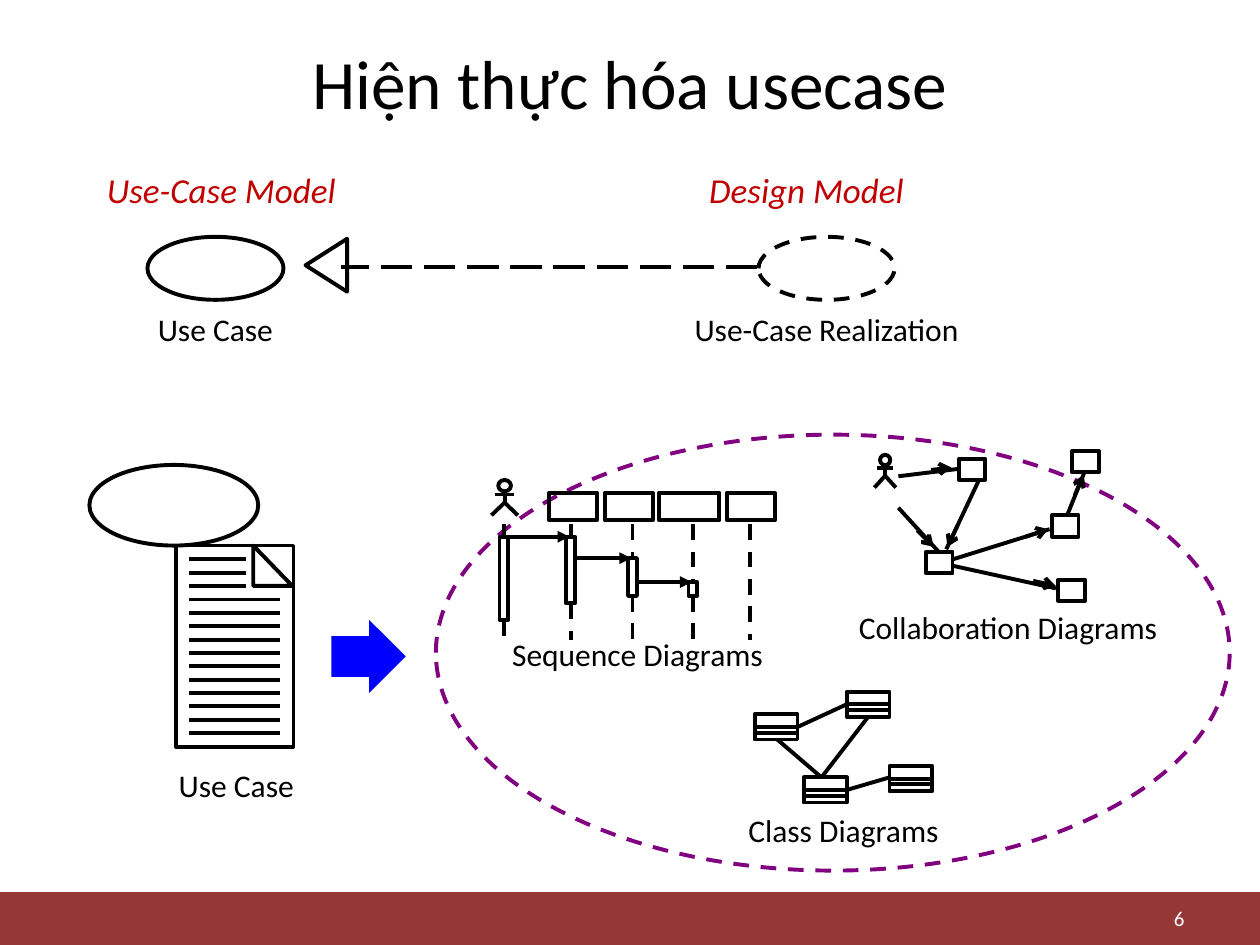
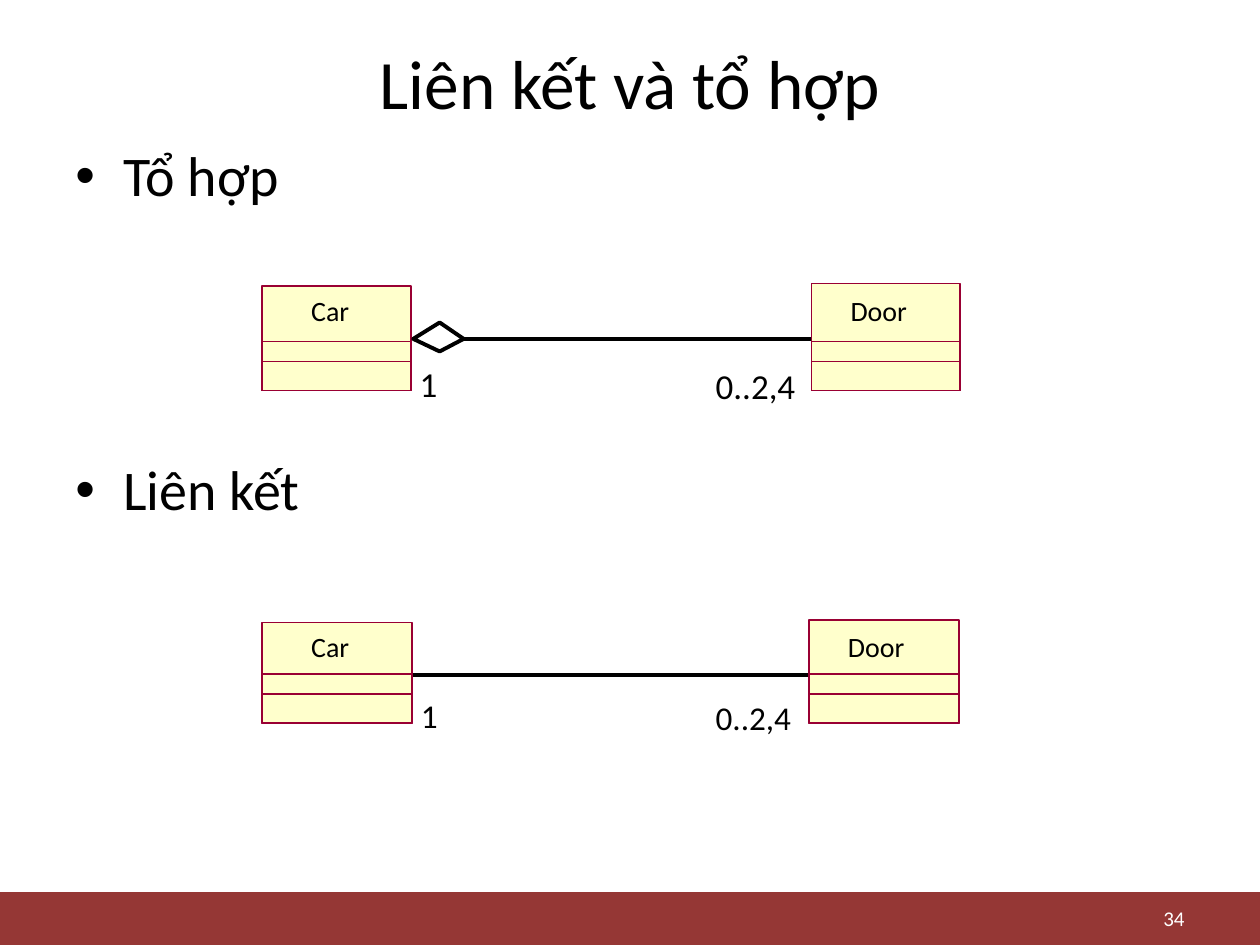
from itertools import pairwise

from lxml.etree import SubElement
from pptx import Presentation
from pptx.dml.color import RGBColor
from pptx.enum.dml import MSO_LINE
from pptx.enum.shapes import MSO_CONNECTOR, MSO_SHAPE
from pptx.enum.text import MSO_ANCHOR, MSO_AUTO_SIZE, PP_ALIGN
from pptx.oxml.ns import qn
from pptx.util import Inches, Pt

FONT = "Calibri"
BLACK, WHITE, BAND, HEADING = "000000", "FFFFFF", "953735", "C00000"
PURPLE, BLUE, CREAM, CRIMSON = "800080", "0000FF", "FFFFCC", "990033"
COLUMNS, ROWS = 100, 75
CELL = Inches(10) / COLUMNS


def colour(hex_code):
    return RGBColor.from_string(hex_code)


def cells(*values):
    return [round(v * CELL) for v in values]


def style_run(r, size, hex_code=BLACK, italic=False):
    r.font.name = FONT
    r.font.size = Pt(size)
    r.font.color.rgb = colour(hex_code)
    r.font.italic = italic


def style_line(line, hex_code=BLACK, width=2.25, dash=None):
    line.color.rgb = colour(hex_code)
    line.width = Pt(width)
    if dash:
        line.dash_style = dash


class Region:
    """A group whose parts are placed in grid cells from its left top corner."""

    def __init__(self, slide, left=0, top=0):
        self.shapes = slide.shapes.add_group_shape().shapes
        self.left, self.top = left, top

    def at(self, col, row):
        return cells(self.left + col, self.top + row)

    def finish(self, sp, fill, line, width, dash):
        sp.shadow.inherit = False
        if fill:
            sp.fill.solid()
            sp.fill.fore_color.rgb = colour(fill)
        else:
            sp.fill.background()
        if line:
            style_line(sp.line, line, width, dash)
        else:
            sp.line.fill.background()
        return sp

    def shape(self, kind, col, row, w, h, fill=None, line=BLACK, width=2.25, dash=None):
        sp = self.shapes.add_shape(kind, *self.at(col, row), *cells(w, h))
        return self.finish(sp, fill, line, width, dash)

    def rect(self, *box, **style):
        return self.shape(MSO_SHAPE.RECTANGLE, *box, **style)

    def oval(self, *box, **style):
        return self.shape(MSO_SHAPE.OVAL, *box, **style)

    def outline(self, points, close=False):
        start, *rest = [self.at(*point) for point in points]
        builder = self.shapes.build_freeform(*start)
        builder.add_line_segments(rest, close=close)
        return self.finish(builder.convert_to_shape(), None, BLACK, 2.25, None)

    def line(self, x1, y1, x2, y2, dash=None, head=None):
        cx = self.shapes.add_connector(
            MSO_CONNECTOR.STRAIGHT, *self.at(x1, y1), *self.at(x2, y2))
        style_line(cx.line, dash=dash)
        if head:
            SubElement(cx.line._get_or_add_ln(), qn("a:tailEnd"), type=head)
        SubElement(cx._element.spPr, qn("a:effectLst"))

    def label(self, text, col, row, w, h=4, size=18, hex_code=BLACK,
              align=PP_ALIGN.CENTER, italic=False, inset=True):
        tf = self.shapes.add_textbox(*self.at(col, row), *cells(w, h)).text_frame
        tf.word_wrap = True
        if not inset:
            tf.margin_left = tf.margin_right = tf.margin_top = tf.margin_bottom = 0
        p = tf.paragraphs[0]
        p.alignment = align
        r = p.add_run()
        r.text = text
        style_run(r, size, hex_code, italic)
        return tf


def add_titled_slide(prs, title, number):
    slide = prs.slides.add_slide(prs.slide_layouts[5])
    sp = slide.shapes.title
    sp.left, sp.top, sp.width, sp.height = cells(5, 3, 90, 7)
    tf = sp.text_frame
    tf.auto_size = MSO_AUTO_SIZE.NONE
    tf.vertical_anchor = MSO_ANCHOR.MIDDLE
    p = tf.paragraphs[0]
    p.alignment = PP_ALIGN.CENTER
    r = p.add_run()
    r.text = title
    style_run(r, 39.6)

    footer = Region(slide, 0, 70.8)
    footer.rect(0, 0, COLUMNS, ROWS - 70.8, fill=BAND, line=None)
    tf = footer.label(number, 71.7, 0.7, 23.3, 2.7, 12, WHITE, PP_ALIGN.RIGHT)
    tf.vertical_anchor = MSO_ANCHOR.MIDDLE
    return slide


def add_actor(region, col, row, w, h):
    """Stick figure filling the given box."""
    middle, neck, hip, arms = col + w / 2, row + h * 0.33, row + h * 0.64, row + h * 0.41
    region.oval(col + w * 0.26, row, w * 0.48, h * 0.32)
    region.line(middle, neck, middle, hip)
    region.line(col + w * 0.14, arms, col + w * 0.86, arms)
    region.outline([(col, row + h), (middle, hip), (col + w, row + h)])


def add_realization(slide, left, top):
    """Use case on the left, realized by the dashed one on the right."""
    region = Region(slide, left, top)
    columns = [("Use-Case Model", 0, 4.2, None, "Use Case", 13),
               ("Design Model", 47.8, 52.7, MSO_LINE.DASH, "Use-Case Realization", 26.2)]
    for heading, heading_col, oval_col, dash, name, name_w in columns:
        region.label(heading, heading_col, 0, 28.3, 4.3, 20, HEADING, PP_ALIGN.LEFT, True)
        region.oval(oval_col, 5.9, 10.8, 5, dash=dash)
        region.label(name, oval_col + 5.4 - name_w / 2, 11.2, name_w)
    region.line(52.6, 8.3, 19.6, 8.3, dash=MSO_LINE.LONG_DASH)
    head = region.shape(MSO_SHAPE.ISOSCELES_TRIANGLE, 16.3, 6.5, 4.2, 3.3)
    head.rotation = 270


def add_use_case_document(slide, left, top):
    region = Region(slide, left, top)
    region.oval(0, 0, 13.4, 6.4)
    region.rect(6.9, 6.4, 9.3, 16)
    region.outline([(13, 6.4), (16.1, 9.6), (13, 9.6)], close=True)
    for i in range(14):
        row = 7.5 + i * 1.06
        region.line(7.9, row, 12.4 if i < 3 else 15.1, row)
    region.label("Use Case", 3.2, 23.4, 16.9)


def add_sequence_diagram(slide, left, top):
    region = Region(slide, left, top)
    first, last = 3.6, 12.8
    lifelines = [2, 7.3, 12.2, 17, 21.5]
    activations = [(4.6, 11.2), (4.6, 9.9), (6.3, 9.3), (8.2, 9.3)]
    add_actor(region, 1, 0.1, 2.1, 2.8)
    for col, w in [(5.6, 3.8), (10, 3.8), (14.3, 4.8), (19.7, 3.8)]:
        region.rect(col, 1.1, w, 2.2)
    for col, (start, end) in zip(lifelines, activations):
        region.line(col, first, col, start, dash=MSO_LINE.DASH)
        region.rect(col - 0.35, start, 0.7, end - start)
        region.line(col, end, col, last, dash=MSO_LINE.DASH)
    region.line(lifelines[-1], first, lifelines[-1], last, dash=MSO_LINE.DASH)
    for (sender, receiver), (row, _) in zip(pairwise(lifelines), activations[1:]):
        region.line(sender + 0.4, row, receiver - 0.1, row, head="triangle")
    region.label("Sequence Diagrams", 0.2, 11.9, 24.8)


def add_collaboration_diagram(slide, left, top):
    region = Region(slide, left, top)
    add_actor(region, 3.4, 1.1, 1.7, 2.6)
    for col, row in [(10.1, 1.4), (7.5, 8.8), (18, 11), (17.5, 5.9), (19.1, 0.8)]:
        region.rect(col, row, 2.1, 1.7)
    links_and_flows = [
        ((5.3, 5.3, 8.5, 8.8), (6.8, 7.1, 8.1, 8.4)),
        ((5.3, 2.8, 10.2, 2.2), (7.9, 2.3, 9.5, 2.1)),
        ((9.6, 9.9, 17.8, 11.7), (16, 11.1, 17.8, 11.5)),
        ((9.6, 9.4, 17.3, 7), (15.4, 7.6, 17.2, 7)),
        ((18.7, 5.9, 20.1, 2.4), (19.3, 4.3, 20, 2.7)),
        ((11.7, 3.1, 9.1, 8.6), (10, 6.7, 9.2, 8.4)),
    ]
    for link, flow in links_and_flows:
        region.line(*link)
        region.line(*flow, head="arrow")
    region.label("Collaboration Diagrams", -0.1, 12.8, 28.2)


def add_class_diagram(slide, left, top):
    region = Region(slide, left, top)
    for col, row in [(2.9, 2.7), (10.2, 0.9), (6.8, 7.7), (13.6, 6.8)]:
        region.rect(col, row, 3.4, 2)
        for divider in (row + 1, row + 1.45):
            region.line(col, divider, col + 3.4, divider)
    for link in [(8.2, 7.7, 4.7, 4.7), (6.3, 3.7, 10.2, 1.9),
                 (10.2, 8.7, 13.6, 7.7), (8.2, 7.7, 11.9, 2.9)]:
        region.line(*link)
    region.label("Class Diagrams", 0.1, 9.9, 19.7)


def add_uml_class(region, name, col, row, w, h, name_col, name_row):
    region.rect(col, row, w, h, fill=CREAM, line=CRIMSON, width=1)
    for depth in (3.9, 2.3):
        region.rect(col, row + h - depth, w, depth, line=CRIMSON, width=1)
    region.label(name, col + name_col, row + name_row, 4.8, 2.7, 16,
                 align=PP_ALIGN.LEFT, inset=False)


def add_association(slide, left, top, w, h, class_w, size, aggregate):
    """Car and Door at the ends of the box; a diamond marks aggregation."""
    region = Region(slide, left, top)
    link = 4.2
    region.line(15.9 if aggregate else class_w, link, w - class_w, link)
    add_uml_class(region, "Car", 0, 0, class_w, h, 3.9, 0.6)
    add_uml_class(region, "Door", w - class_w, -0.2, class_w, h + 0.2, 3.1, 0.8)
    for text, col, row in [("1", class_w + 0.7, h - 2.25), ("0..2,4", 36, h - 2.05)]:
        region.label(text, col, row, 7, 3.3, size, align=PP_ALIGN.LEFT, inset=False)
    if aggregate:
        region.outline([(12, link), (14.1, link + 1), (16, link), (14.1, link - 1.3)], True)


def add_bullets(slide, texts, box, gap):
    tf = slide.shapes.add_textbox(*cells(*box)).text_frame
    tf.word_wrap = True
    for i, text in enumerate(texts):
        p = tf.add_paragraph() if i else tf.paragraphs[0]
        pPr = p._p.get_or_add_pPr()
        pPr.set("marL", str(Inches(0.38)))
        pPr.set("indent", str(-Inches(0.38)))
        SubElement(pPr, qn("a:buFont"), typeface="Arial")
        SubElement(pPr, qn("a:buChar"), char="•")
        if i:
            p.space_before = Pt(gap)
        r = p.add_run()
        r.text = text
        style_run(r, 32)


def build_realization_slide(prs):
    slide = add_titled_slide(prs, "Hiện thực hóa usecase", "6")
    overview = Region(slide)
    overview.oval(34.6, 34.5, 63, 34.6, line=PURPLE, dash=MSO_LINE.DASH)
    arrow = overview.shape(MSO_SHAPE.RIGHT_ARROW, 26.3, 49.2, 5.9, 5.8, fill=BLUE, line=None)
    arrow.adjustments[0], arrow.adjustments[1] = 0.56, 0.5
    add_realization(slide, 7.5, 12.9)
    add_use_case_document(slide, 7.1, 36.9)
    add_sequence_diagram(slide, 38, 38)
    add_collaboration_diagram(slide, 66, 35)
    add_class_diagram(slide, 57, 54)


def build_association_slide(prs):
    slide = add_titled_slide(prs, "Liên kết và tổ hợp", "34")
    add_bullets(slide, ["Tổ hợp", "Liên kết"], (5, 10.7, 90, 56.3), 141)
    add_association(slide, 20.8, 22.7, 55.4, 8.3, 11.8, 20, True)
    add_association(slide, 20.8, 49.4, 55.3, 8, 11.9, 19, False)


def main():
    prs = Presentation()
    prs.slide_width, prs.slide_height = cells(COLUMNS, ROWS)
    build_realization_slide(prs)
    build_association_slide(prs)
    prs.save("out.pptx")


if __name__ == "__main__":
    main()
